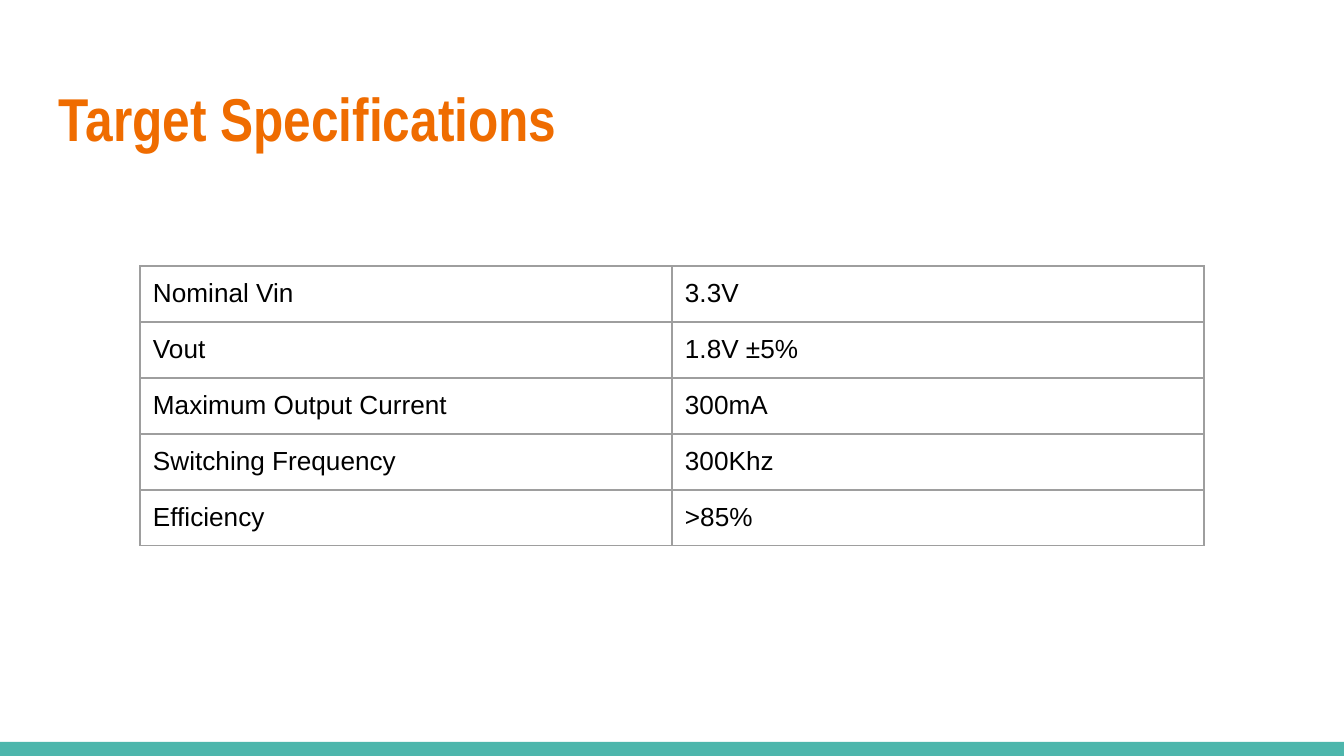
"""Build the target specifications slide with its table of converter ratings."""
import dataclasses

import lxml.etree
import pptx
import pptx.dml.color
import pptx.enum.text
import pptx.oxml.ns
import pptx.util

TITLE = "Target Specifications"
SPECIFICATIONS = [
    ("Nominal Vin", "3.3V"),
    ("Vout", "1.8V ±5%"),
    ("Maximum Output Current", "300mA"),
    ("Switching Frequency", "300Khz"),
    ("Efficiency", ">85%"),
]


@dataclasses.dataclass(frozen=True)
class Theme:
    title_color: str = "EF6C00"
    title_font: str = "Arial Narrow"
    title_size: float = 32.4
    body_color: str = "000000"
    body_font: str = "Arial"
    body_size: float = 14
    footer_color: str = "4DB6AC"
    border_color: str = "9E9E9E"
    border_width: float = 0.75


THEME = Theme()
PX_PER_INCH = 134.4
SLIDE_WIDTH, SLIDE_HEIGHT = 1344, 756
TITLE_BOX = (46, 66, 1252, 103)
FOOTER_HEIGHT = 14
TABLE_LEFT, TABLE_TOP = 140, 266
COLUMN_WIDTH, ROW_HEIGHT = 532, 56
INSET = 13


def px(length):
    return pptx.util.Inches(length / PX_PER_INCH)


def rgb(color):
    return pptx.dml.color.RGBColor.from_string(color)


def set_insets(holder):
    for side in ("left", "top", "right", "bottom"):
        setattr(holder, f"margin_{side}", px(INSET))


def write(frame, wording, font, size, color, bold=False):
    paragraph = frame.paragraphs[0]
    paragraph.alignment = pptx.enum.text.PP_ALIGN.LEFT
    run = paragraph.add_run()
    run.text = wording
    run.font.name = font
    run.font.size = pptx.util.Pt(size)
    run.font.bold = bold
    run.font.color.rgb = rgb(color)


def add_borders(cell):
    qn = pptx.oxml.ns.qn
    properties = cell._tc.get_or_add_tcPr()
    width = str(pptx.util.Pt(THEME.border_width))
    for edge in ("a:lnL", "a:lnR", "a:lnT", "a:lnB"):
        border = lxml.etree.SubElement(properties, qn(edge), w=width)
        fill = lxml.etree.SubElement(border, qn("a:solidFill"))
        lxml.etree.SubElement(fill, qn("a:srgbClr"), val=THEME.border_color)


def add_footer(slide):
    footer = slide.shapes.add_shape(
        pptx.enum.shapes.MSO_SHAPE.RECTANGLE,
        0, px(SLIDE_HEIGHT - FOOTER_HEIGHT), px(SLIDE_WIDTH), px(FOOTER_HEIGHT),
    )
    footer.shadow.inherit = False
    footer.fill.solid()
    footer.fill.fore_color.rgb = rgb(THEME.footer_color)
    footer.line.fill.background()


def add_title(slide):
    title = slide.shapes.title
    title.left, title.top, title.width, title.height = map(px, TITLE_BOX)
    frame = title.text_frame
    frame.word_wrap = True
    frame.auto_size = pptx.enum.text.MSO_AUTO_SIZE.NONE
    frame.vertical_anchor = pptx.enum.text.MSO_ANCHOR.MIDDLE
    set_insets(frame)
    write(frame, TITLE, THEME.title_font, THEME.title_size, THEME.title_color, True)


def add_specifications(slide):
    rows, columns = len(SPECIFICATIONS), len(SPECIFICATIONS[0])
    table = slide.shapes.add_table(
        rows, columns, px(TABLE_LEFT), px(TABLE_TOP),
        px(columns * COLUMN_WIDTH), px(rows * ROW_HEIGHT),
    ).table
    table.first_row = table.horz_banding = False
    for row, specification in enumerate(SPECIFICATIONS):
        for column, wording in enumerate(specification):
            cell = table.cell(row, column)
            set_insets(cell)
            add_borders(cell)
            cell.fill.background()
            write(cell.text_frame, wording, THEME.body_font, THEME.body_size, THEME.body_color)


def main():
    presentation = pptx.Presentation()
    presentation.slide_width = px(SLIDE_WIDTH)
    presentation.slide_height = px(SLIDE_HEIGHT)
    slide = presentation.slides.add_slide(presentation.slide_layouts.get_by_name("Title Only"))
    add_footer(slide)
    add_title(slide)
    add_specifications(slide)
    presentation.save("out.pptx")


if __name__ == "__main__":
    main()
